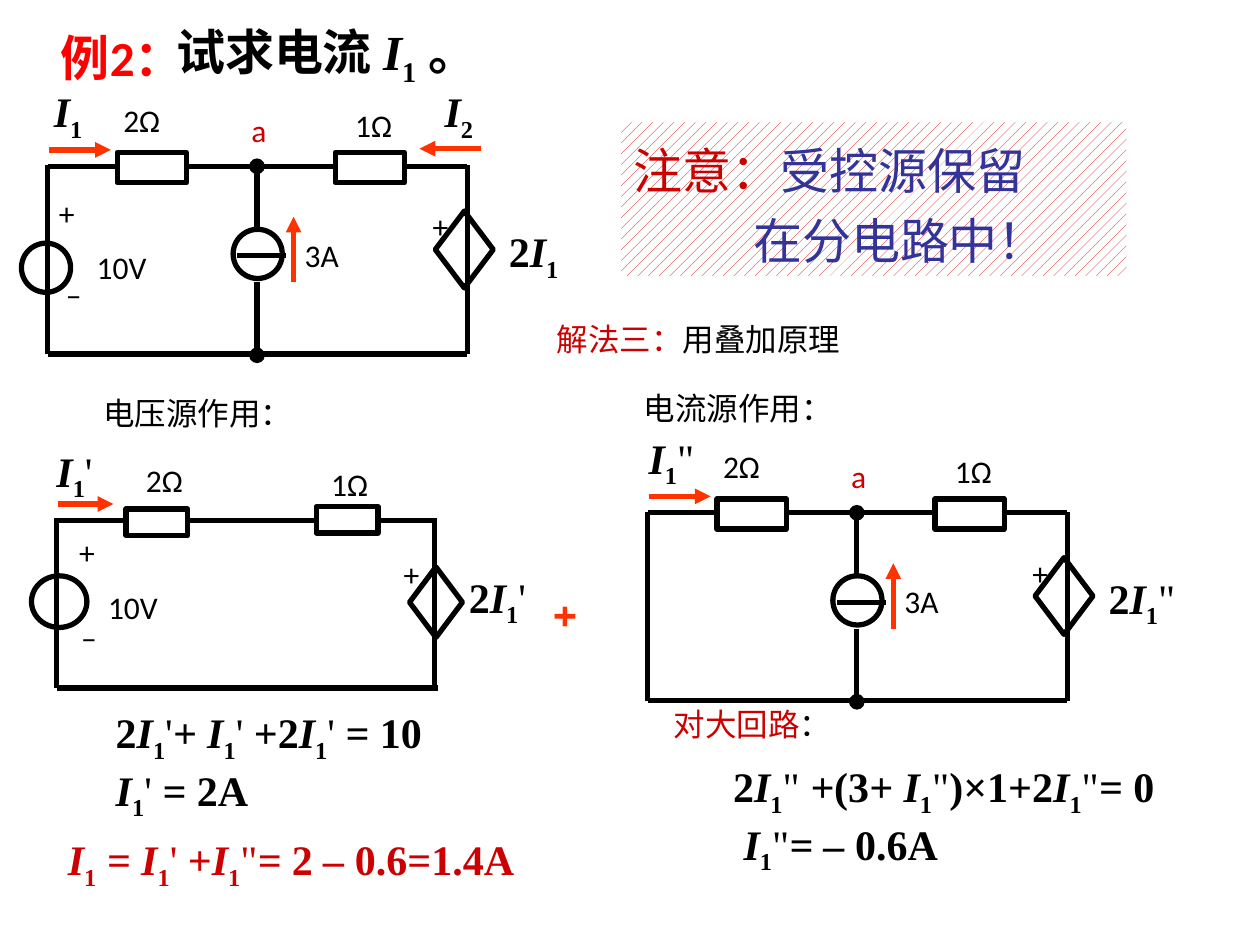
from dataclasses import dataclass
from itertools import groupby
from typing import Any

from lxml.etree import SubElement
from pptx import Presentation
from pptx.dml.color import RGBColor
from pptx.enum.dml import MSO_PATTERN
from pptx.enum.shapes import MSO_CONNECTOR, MSO_SHAPE
from pptx.enum.text import MSO_ANCHOR, PP_ALIGN
from pptx.oxml.ns import qn
from pptx.util import Inches, Pt


@dataclass(frozen=True)
class TextStyle:
    font: str
    size: int
    bold: bool = False


class Theme:
    ink = RGBColor(0, 0, 0)
    paper = RGBColor(255, 255, 255)
    red = RGBColor(0xCC, 0, 0)
    title_red = RGBColor(0xFF, 0, 0)
    current = RGBColor(0xFF, 0x33, 0)
    navy = RGBColor(0x33, 0x33, 0x99)
    stroke = Pt(3)
    title = TextStyle("Calibri", 28, True)
    question = TextStyle("Times New Roman", 28, True)
    math = TextStyle("Times New Roman", 24, True)
    label = TextStyle("Calibri", 18)
    note = TextStyle("Calibri", 28)
    plus = TextStyle("Cabin", 32)


@dataclass
class Board:
    """A shape collection with the offset of the drawing placed on it."""
    shapes: Any
    dx: float = 0
    dy: float = 0

    def at(self, x, y):
        return Inches(round(x + self.dx, 2)), Inches(round(y + self.dy, 2))


def styled_chars(markup):
    """Read the markup: / toggles italic, _ lowers the next character."""
    italic = lowered = False
    for char in markup:
        if char == "/":
            italic = not italic
        elif char == "_":
            lowered = True
        else:
            yield char, (italic, lowered, char in "'\"")
            lowered = False


def write(paragraph, markup, style, color, lead=""):
    paragraph.font.name = style.font
    paragraph.font.size = Pt(style.size)
    paragraph.font.bold = style.bold
    paragraph.font.color.rgb = color
    if lead:
        run = paragraph.add_run()
        run.text = lead
        run.font.color.rgb = Theme.red
    for (italic, lowered, prime), chars in groupby(styled_chars(markup), lambda c: c[1]):
        run = paragraph.add_run()
        run.text = "".join(char for char, _ in chars)
        if italic:
            run.font.italic = True
        if prime and style.bold:
            run.font.bold = False
        if lowered:
            run.font._element.set("baseline", "-25000")


def text(board, lines, x, y, w, h=0.5, style=Theme.label, color=Theme.ink,
         lead="", centered=False, middle=False):
    frame = board.shapes.add_textbox(*board.at(x, y), Inches(w), Inches(h)).text_frame
    frame.word_wrap = True
    frame.vertical_anchor = MSO_ANCHOR.MIDDLE if middle else MSO_ANCHOR.TOP
    for index, markup in enumerate(lines.split("\n")):
        paragraph = frame.add_paragraph() if index else frame.paragraphs[0]
        paragraph.alignment = PP_ALIGN.CENTER if centered else PP_ALIGN.LEFT
        write(paragraph, markup, style, color, lead)
    return frame


def value(board, markup, x, y, w, color=Theme.ink):
    text(board, markup, x, y, w, color=color, centered=True, middle=True)


def symbol(board, markup, x, y, w, centered=False):
    text(board, markup, x, y, w, style=Theme.math, centered=centered, middle=True)


def polarity(board, x, y):
    frame = text(board, "+\n_", x, y, 0.39, 0.9, centered=True, middle=True)
    for paragraph in frame.paragraphs:
        paragraph.line_spacing = 0.75
    frame.paragraphs[1].space_before = Pt(9)


def wire(board, x1, y1, x2, y2, color=Theme.ink, **ends):
    line = board.shapes.add_connector(
        MSO_CONNECTOR.STRAIGHT, *board.at(x1, y1), *board.at(x2, y2))
    line.line.width = Theme.stroke
    line.line.color.rgb = color
    properties = line._element.spPr
    for end, kind in ends.items():
        SubElement(properties.find(qn("a:ln")), qn(f"a:{end}"), type=kind)
    SubElement(properties, qn("a:effectLst"))


def arrow(board, x1, y1, x2, y2):
    wire(board, x1, y1, x2, y2, Theme.current, tailEnd="triangle")


def part(board, kind, x, y, w, h, rotation=0):
    shape = board.shapes.add_shape(kind, *board.at(x, y), Inches(w), Inches(h))
    shape.shadow.inherit = False
    shape.fill.background()
    shape.line.color.rgb = Theme.ink
    shape.line.width = Theme.stroke
    shape.rotation = rotation


def two_mesh_circuit(board, prime=""):
    """Circuit with the 3A source between the two resistors."""
    # Loop wires and resistors
    for ends in ((3.71, 2.81, 0.38, 2.81), (3.71, 1.31, 3.71, 2.81),
                 (0.38, 1.31, 0.38, 2.81), (0.92, 1.32, 0.38, 1.32),
                 (1.49, 1.32, 2.67, 1.32), (3.21, 1.32, 3.71, 1.32)):
        wire(board, *ends)
    for x in (0.93, 2.66):
        part(board, MSO_SHAPE.RECTANGLE, x, 1.21, 0.55, 0.24)
    value(board, "2Ω", 0.54, 0.7, 1.17)
    value(board, "1Ω", 2.38, 0.74, 1.17)
    # Current source branch
    wire(board, 2.04, 1.32, 2.04, 1.82, headEnd="oval")
    part(board, MSO_SHAPE.OVAL, 1.85, 1.82, 0.39, 0.39)
    wire(board, 2.04, 2.24, 2.04, 2.82, tailEnd="oval")
    wire(board, 1.88, 2.03, 2.27, 2.03)
    arrow(board, 2.33, 2.24, 2.33, 1.72)
    text(board, "3A", 2.32, 1.77, 0.65, middle=True)
    value(board, "a", 1.87, 0.78, 0.37, Theme.red)
    # Controlled source and controlling current
    part(board, MSO_SHAPE.FLOWCHART_DECISION, 3.38, 1.75, 0.61, 0.46, 270)
    polarity(board, 3.3, 1.49)
    symbol(board, "2/I/_1" + prime, 3.94, 1.77, 0.82)
    arrow(board, 0.39, 1.19, 0.88, 1.19)
    symbol(board, "/I/_1" + prime, 0.29 if prime else 0.33, 0.66, 0.77)


def voltage_source(board, x, y, w, h, label_x, label_y, plus_at, minus_at):
    part(board, MSO_SHAPE.OVAL, x, y, w, h)
    text(board, "10V", label_x, label_y, 1.11, centered=True, middle=True)
    text(board, "+", *plus_at, 0.36, centered=True)
    text(board, "–", *minus_at, 0.55, centered=True)


def one_mesh_circuit(board):
    """Circuit with the current source removed."""
    for ends in ((3.48, 5.46, 0.45, 5.46), (3.45, 4.11, 3.45, 5.46),
                 (0.45, 4.11, 0.45, 5.46), (1, 4.13, 0.45, 4.13),
                 (1.49, 4.13, 2.52, 4.13), (3, 4.13, 3.45, 4.13)):
        wire(board, *ends)
    for x, y in ((1, 4.04), (2.51, 4.02)):
        part(board, MSO_SHAPE.RECTANGLE, x, y, 0.49, 0.21)
    value(board, "2Ω", 0.78, 3.56, 1.05)
    value(board, "1Ω", 2.25, 3.59, 1.05)
    voltage_source(board, 0.25, 4.57, 0.44, 0.41, 0.5, 4.57, (0.51, 4.18), (0.43, 4.86))
    part(board, MSO_SHAPE.DIAMOND, 3.25, 4.5, 0.42, 0.56)
    polarity(board, 3.07, 4.25)
    symbol(board, "2/I/_1' ", 3.42, 4.51, 1.14, centered=True)
    arrow(board, 0.46, 4, 0.9, 4)
    symbol(board, "/I/_1'", 0.35, 3.51, 0.63)


def hatched_note(board):
    note = board.shapes.add_shape(
        MSO_SHAPE.RECTANGLE, *board.at(4.93, 0.97), Inches(4.01), Inches(1.22))
    note.shadow.inherit = False
    note.line.fill.background()
    note.fill.patterned()
    note.fill.pattern = MSO_PATTERN.PERCENT_20
    note.fill.fore_color.rgb = Theme.red
    note.fill.back_color.rgb = Theme.paper
    frame = note.text_frame
    frame.vertical_anchor = MSO_ANCHOR.TOP
    first, second = frame.paragraphs[0], frame.add_paragraph()
    second._p.get_or_add_pPr().set("marL", str(Inches(0.95)))
    write(first, "受控源保留", Theme.note, Theme.navy, lead="注意：")
    write(second, "在分电路中！", Theme.note, Theme.navy)
    for paragraph in (first, second):
        paragraph.alignment = PP_ALIGN.LEFT
        paragraph.line_spacing = 1.2


def heading(slide):
    title = slide.shapes.title
    title.left, title.top = Inches(0.28), Inches(0.17)
    title.width, title.height = Inches(1.38), Inches(0.56)
    title.text_frame.vertical_anchor = MSO_ANCHOR.TOP
    title.text_frame.paragraphs[0].alignment = PP_ALIGN.CENTER
    write(title.text_frame.paragraphs[0], "例2：", Theme.title, Theme.title_red)


def main():
    deck = Presentation()
    deck.slide_width, deck.slide_height = Inches(10), Inches(7.5)
    slide = deck.slides.add_slide(deck.slide_layouts[5])
    page = Board(slide.shapes)

    # Problem statement
    heading(slide)
    text(page, "试求电流 /I/_1 。", 1.3, 0.15, 2.79, 0.57, Theme.question, middle=True)

    # Given circuit
    given = Board(slide.shapes.add_group_shape().shapes)
    two_mesh_circuit(given)
    voltage_source(given, 0.17, 1.93, 0.39, 0.39, 0.41, 1.87, (0.35, 1.49), (0.31, 2.13))
    arrow(given, 3.82, 1.18, 3.33, 1.18)
    symbol(given, "/I/_2", 3.43, 0.66, 0.54)

    # Method and the two partial circuits
    text(page, "用叠加原理", 4.32, 2.49, 3.92, lead="解法三：")
    text(page, "电压源作用：", 0.72, 3.08, 2.38)
    text(page, "电流源作用：", 5.01, 3.04, 2.31)
    one_mesh_circuit(Board(slide.shapes.add_group_shape().shapes))
    two_mesh_circuit(Board(slide.shapes.add_group_shape().shapes, 4.76, 2.75), '"')
    text(page, "+", 4.29, 4.53, 0.58, 0.63, Theme.plus, Theme.current)

    # Equations
    text(page, "2/I/_1'/+ I/_1' +2/I/_1' /= /10\n/I/_1' /= /2A",
         0.82, 5.56, 2.88, 0.9, Theme.math)
    text(page, "：", 5.25, 5.55, 1.88, lead="对大回路")
    text(page, '2/I/_1" /+/(3/+ I/_1")×1+2/I/_1"/= /0\n /I/_1"/= – /0.6A',
         5.72, 5.99, 3.6, 0.9, Theme.math)
    text(page, "/I/_1/ = I/_1' +/I/_1\"/= /2 /– /0.6=1.4A",
         0.44, 6.57, 3.9, 0.5, Theme.math, Theme.red)

    hatched_note(page)
    deck.save("out.pptx")


if __name__ == "__main__":
    main()
